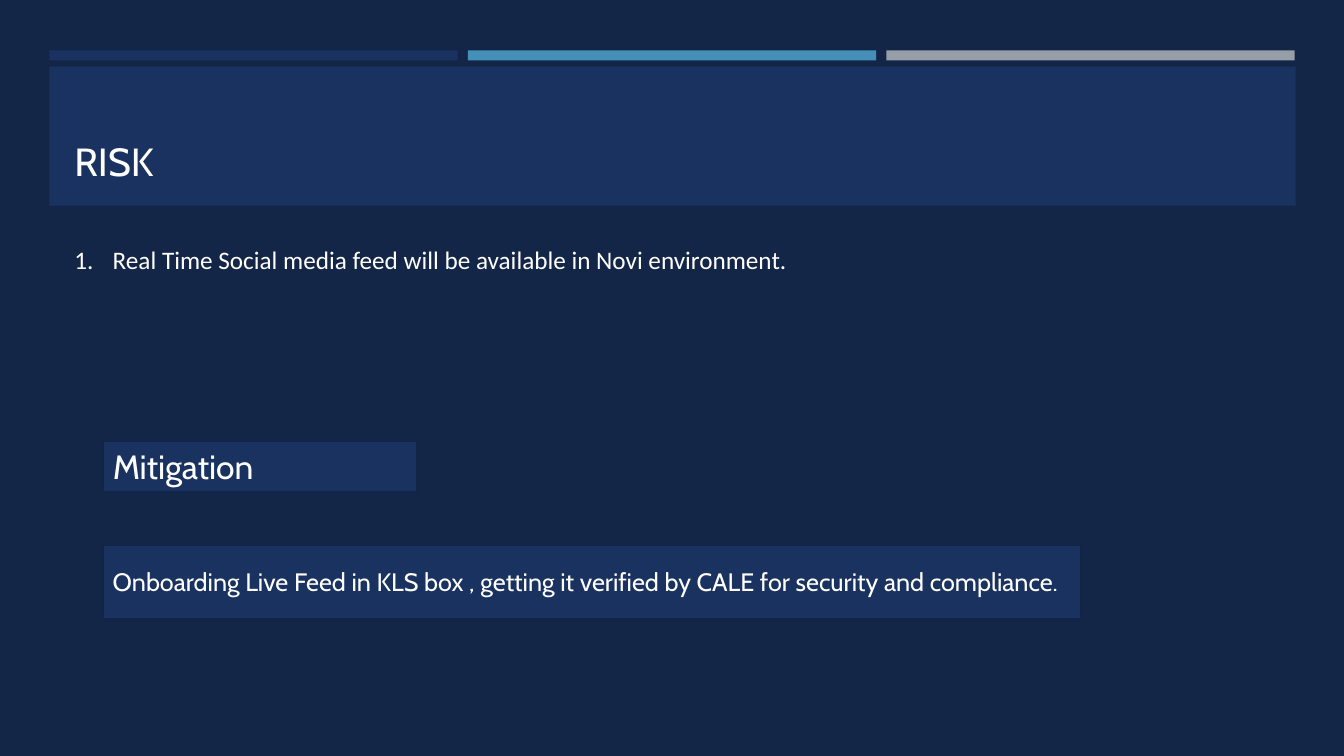
from dataclasses import dataclass

from lxml.etree import SubElement
from pptx import Presentation
from pptx.dml.color import RGBColor
from pptx.enum.shapes import MSO_SHAPE
from pptx.enum.text import MSO_ANCHOR, MSO_AUTO_SIZE, PP_ALIGN
from pptx.oxml.ns import qn
from pptx.shapes.autoshape import Shape
from pptx.slide import Slide
from pptx.util import Inches, Pt


@dataclass(frozen=True)
class Theme:
    background: str = "142648"
    panel: str = "1A3260"
    outline: str = "132547"
    blue: str = "4590B8"
    grey: str = "969FA7"
    text: str = "FFFFFF"
    heading_font: str = "Cabin"
    body_font: str = "Calibri"
    title_size: int = 28
    subtitle_size: int = 24
    body_size: int = 18


THEME = Theme()


@dataclass(frozen=True)
class Area:
    left: float
    top: float
    width: float
    height: float

    def lengths(self) -> list[int]:
        return [Inches(v) for v in (self.left, self.top, self.width, self.height)]


@dataclass(frozen=True)
class Label:
    text: str
    size: int
    font: str = THEME.heading_font
    anchor: MSO_ANCHOR = MSO_ANCHOR.MIDDLE


@dataclass(frozen=True)
class Panel:
    area: Area
    label: Label


def add_block(page: Slide, area: Area, color: str) -> Shape:
    box = page.shapes.add_shape(MSO_SHAPE.RECTANGLE, *area.lengths())
    box.shadow.inherit = False
    box.fill.solid()
    box.fill.fore_color.rgb = RGBColor.from_string(color)
    box.line.fill.background()
    return box


def write_label(box: Shape, label: Label) -> None:
    frame = box.text_frame
    frame.word_wrap = True
    frame.vertical_anchor = label.anchor
    para = frame.paragraphs[0]
    para.alignment = PP_ALIGN.LEFT
    span = para.add_run()
    span.text = label.text
    formats = {"name": label.font, "size": Pt(label.size)}
    for name, value in formats.items():
        setattr(span.font, name, value)
    span.font.color.rgb = RGBColor.from_string(THEME.text)


def add_panel(page: Slide, panel: Panel) -> None:
    box = add_block(page, panel.area, THEME.panel)
    box.line.color.rgb = RGBColor.from_string(THEME.outline)
    box.line.width = Pt(1.75)
    write_label(box, panel.label)


def add_text(page: Slide, area: Area, label: Label) -> Shape:
    box = page.shapes.add_textbox(*area.lengths())
    write_label(box, label)
    return box


def number_list(box: Shape, indent: float) -> None:
    for para in box.text_frame.paragraphs:
        para.line_spacing = 1.15
        properties = para._p.get_or_add_pPr()
        properties.set("marL", str(Inches(indent)))
        properties.set("indent", str(-Inches(indent)))
        SubElement(properties, qn("a:buFont"), typeface="+mj-lt")
        SubElement(properties, qn("a:buAutoNum"), type="arabicPeriod")


BAR_LEFT, BAR_STEP = 0.49, 4.15
BAR_COLORS = [THEME.panel, THEME.blue, THEME.grey]

TITLE = Label("RISK", THEME.title_size, anchor=MSO_ANCHOR.BOTTOM)
RISK = Label(
    "Real Time Social media feed will be available in Novi environment.",
    THEME.body_size, THEME.body_font, MSO_ANCHOR.TOP,
)
PANELS = [
    Panel(Area(1.02, 4.37, 3.12, 0.51), Label("Mitigation", THEME.subtitle_size)),
    Panel(
        Area(1.02, 5.4, 9.7, 0.74),
        Label(
            "Onboarding Live Feed in KLS box , getting it verified by CALE "
            "for security and compliance.",
            THEME.body_size,
        ),
    ),
]


def main() -> None:
    deck = Presentation()
    deck.slide_width, deck.slide_height = Inches(13.33), Inches(7.5)
    page = deck.slides.add_slide(deck.slide_layouts[6])
    page.background.fill.solid()
    page.background.fill.fore_color.rgb = RGBColor.from_string(THEME.background)

    # Accent bars
    for index, color in enumerate(BAR_COLORS):
        add_block(page, Area(BAR_LEFT + index * BAR_STEP, 0.5, 4.05, 0.1), color)

    # Title band
    add_block(page, Area(0.49, 0.66, 12.36, 1.38), THEME.panel)
    add_text(page, Area(0.64, 0.8, 12.06, 1.08), TITLE)

    # Numbered risk
    risk = add_text(page, Area(0.64, 2.33, 8.63, 0.45), RISK)
    risk.text_frame.auto_size = MSO_AUTO_SIZE.SHAPE_TO_FIT_TEXT
    number_list(risk, 0.38)

    # Mitigation panels
    for panel in PANELS:
        add_panel(page, panel)

    deck.save("out.pptx")


if __name__ == "__main__":
    main()
